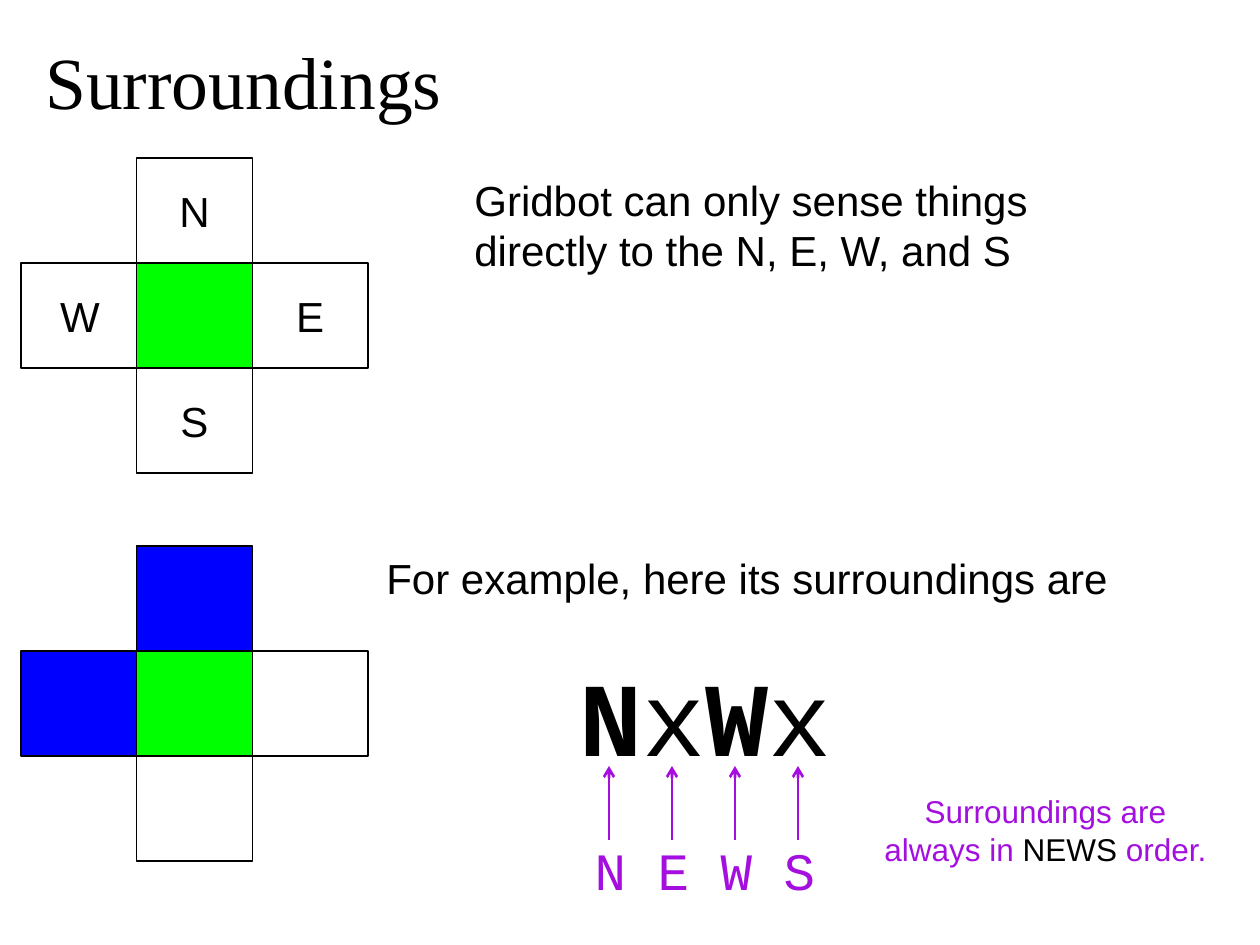
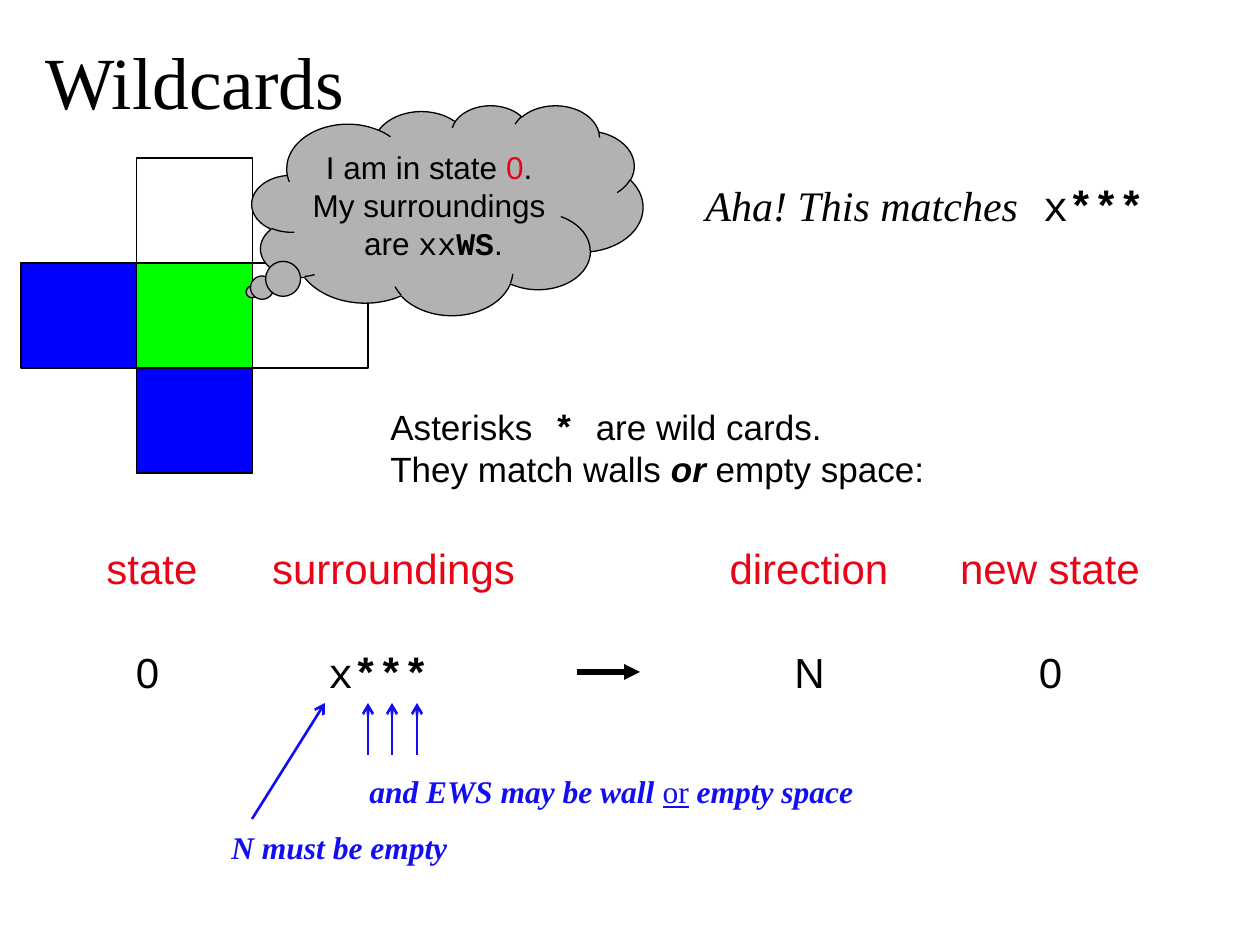
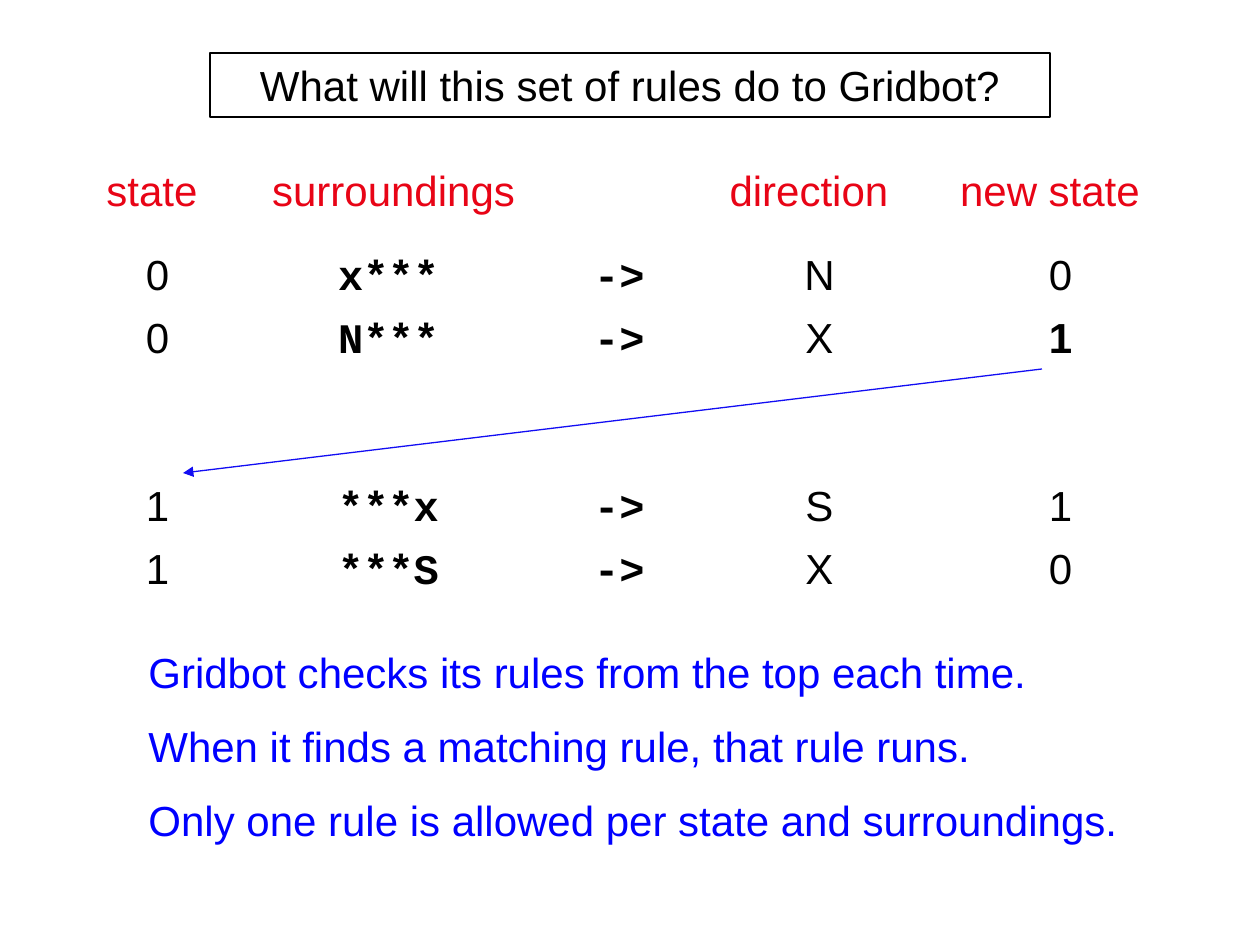
import lxml.etree
import pptx
import pptx.dml.color
import pptx.enum.shapes
import pptx.enum.text
import pptx.oxml.ns
import pptx.util

SCALE = 914400 / 126
SANS, MONO, SERIF = "Arial", "Courier New", "Times New Roman"
BLACK, RED, INK_BLUE, PURPLE = "000000", "E80416", "120DF3", "A40FE0"
BLUE, GREEN, GREY = "0000FF", "00FF00", "B2B2B2"
SHAPES = pptx.enum.shapes.MSO_SHAPE
ALIGN = pptx.enum.text.PP_ALIGN
HEADERS = [("state", 0, 190), ("surroundings", 174, 325),
           ("direction", 657, 190), ("new state", 867, 252)]
RULE_COLUMNS = [(0, 105, {}), (189, 189, {"font": MONO, "bold": True}),
                (420, 189, {"font": MONO, "bold": True}),
                (620, 189, {}), (861, 189, {})]


def px(value):
    return pptx.util.Emu(round(value * SCALE))


def rgb(value):
    return pptx.dml.color.RGBColor.from_string(value)


def write(shape, content, align=ALIGN.LEFT, wrap=True, spacing=1.0, **format):
    frame = shape.text_frame
    frame.word_wrap = wrap
    paragraphs = [content] if isinstance(content, str) else content
    for index, pieces in enumerate(paragraphs):
        paragraph = frame.add_paragraph() if index else frame.paragraphs[0]
        paragraph.alignment = align
        paragraph.line_spacing = spacing
        for piece in [pieces] if isinstance(pieces, str) else pieces:
            words, changes = (piece, {}) if isinstance(piece, str) else piece
            style = {"size": 24, "font": SANS, "color": BLACK, "bold": False,
                     "italic": False, "underline": False, **format, **changes}
            run = paragraph.add_run()
            run.text = words
            run.font.name = style["font"]
            run.font.size = pptx.util.Pt(style["size"])
            run.font.color.rgb = rgb(style["color"])
            run.font.bold = style["bold"]
            run.font.italic = style["italic"]
            run.font.underline = style["underline"]


def label(slide, box, content, **format):
    text_box = slide.shapes.add_textbox(*map(px, box))
    write(text_box, content, **format)
    text_box.text_frame.auto_size = pptx.enum.text.MSO_AUTO_SIZE.SHAPE_TO_FIT_TEXT


def outlined(slide, kind, box, fill=None):
    shape = slide.shapes.add_shape(kind, *map(px, box))
    shape.shadow.inherit = False
    if fill:
        shape.fill.solid()
        shape.fill.fore_color.rgb = rgb(fill)
    else:
        shape.fill.background()
    shape.line.color.rgb = rgb(BLACK)
    shape.line.width = pptx.util.Pt(0.75)
    return shape


def arrow(slide, start, end, color, width=1.5, head="arrow"):
    connector = slide.shapes.add_connector(
        pptx.enum.shapes.MSO_CONNECTOR.STRAIGHT, *map(px, start + end))
    connector.line.color.rgb = rgb(color)
    connector.line.width = pptx.util.Pt(width)
    qn = pptx.oxml.ns.qn
    properties = connector._element.spPr
    lxml.etree.SubElement(properties.find(qn("a:ln")), qn("a:tailEnd"), type=head)
    lxml.etree.SubElement(properties, qn("a:effectLst"))


def title(slide, words):
    label(slide, (33, 30, 503, 101), words, size=42, font=SERIF)


def surroundings_cross(slide, box, walls="", named=False):
    left, top, width, height = box
    cell_width, cell_height = width / 3, height / 3
    cells = {"N": (1, 0), "E": (2, 1), "W": (0, 1), "S": (1, 2), "robot": (1, 1)}
    for name, (column, row) in cells.items():
        x, y = left + column * cell_width, top + row * cell_height
        fill = GREEN if name == "robot" else BLUE if name in walls else None
        outlined(slide, SHAPES.RECTANGLE, (x, y, cell_width, cell_height), fill)
        if named and name != "robot":
            label(slide, (x + cell_width / 2 - 31, y + cell_height / 2 - 31, 62, 62),
                  name, align=ALIGN.CENTER, wrap=False)


def news_key(slide, box):
    left, top, width, height = box
    bold = {"bold": True}
    label(slide, (left, top, width, 139), [[("N", bold), "x", ("W", bold), "x"]],
          size=60, font=MONO, align=ALIGN.CENTER)
    for index in range(4):
        x = left + 46 + 63 * index
        arrow(slide, (x, top + 195), (x, top + 121), PURPLE)
    label(slide, (left, top + height - 76, width, 76), "N E W S",
          size=30, font=MONO, color=PURPLE, align=ALIGN.CENTER)


def rule_headers(slide, box):
    left, top, _, height = box
    for words, offset, width in HEADERS:
        label(slide, (left + offset, top, width, height), words,
              color=RED, align=ALIGN.CENTER)


def rule_row(slide, box, rule):
    left, top, _, height = box
    for content, (offset, width, style) in zip(rule, RULE_COLUMNS):
        if content:
            label(slide, (left + offset, top, width, height), content,
                  **{"align": ALIGN.CENTER, **style})


def thought_cloud(slide, box):
    cloud = outlined(slide, SHAPES.CLOUD_CALLOUT, box, GREY)
    cloud.adjustments[0] = -0.5
    cloud.adjustments[1] = 0.39
    write(cloud, [["I am in state ", ("0", {"color": RED}), ". "],
                  "My surroundings ",
                  ["are ", ("xx", {"font": MONO}),
                   ("WS", {"font": MONO, "bold": True}), "."]],
          size=18, align=ALIGN.CENTER, wrap=False)


def wildcard_notes(slide, box):
    left, top, _, _ = box
    for x in (149, 173, 198):
        arrow(slide, (left + x, top + 52), (left + x, top), INK_BLUE)
    arrow(slide, (left + 33, top + 116), (left + 106, top), INK_BLUE)
    style = {"size": 18, "font": SERIF, "color": INK_BLUE, "bold": True, "italic": True}
    plain = {"bold": False, "italic": False, "underline": True}
    label(slide, (left + 138, top + 63, 746, 50),
          [["and EWS may be wall ", ("or", plain), " empty space"]], **style)
    label(slide, (left, top + 119, 242, 50), "N must be empty", wrap=False, **style)


def surroundings_slide(slide):
    title(slide, "Surroundings")
    surroundings_cross(slide, (21, 158, 347, 315), named=True)
    surroundings_cross(slide, (21, 546, 347, 315), walls="NW")
    label(slide, (462, 168, 588, 113),
          "Gridbot can only sense things directly to the N, E, W, and S")
    label(slide, (374, 546, 809, 63), "For example, here its surroundings are")
    news_key(slide, (563, 645, 284, 263))
    label(slide, (868, 786, 355, 88),
          [["Surroundings are always in ", ("NEWS", {"color": BLACK}), " order."]],
          size=18, color=PURPLE, align=ALIGN.CENTER)


def wildcards_slide(slide):
    title(slide, "Wildcards")
    surroundings_cross(slide, (21, 158, 347, 315), walls="WS")
    label(slide, (378, 399, 620, 97),
          [["Asterisks", (" * ", {"font": MONO, "bold": True}), "are wild cards."],
           ["They match walls ", ("or", {"bold": True, "italic": True}),
            " empty space:"]], size=20)
    rule_headers(slide, (57, 536, 1119, 63))
    rule_row(slide, (95, 640, 1050, 63),
             ("0", [[("x", {"bold": False}), "***"]], None, "N", "0"))
    arrow(slide, (577, 672), (640, 672), BLACK, width=3, head="triangle")
    wildcard_notes(slide, (219, 703, 884, 169))
    thought_cloud(slide, (252, 105, 391, 210))
    mono = {"font": MONO, "italic": False}
    label(slide, (693, 179, 546, 58),
          [["Aha! This matches", (" x", mono), ("***", {**mono, "bold": True})]],
          font=SERIF, italic=True, spacing=0.9)


def rules_slide(slide):
    question = outlined(slide, SHAPES.RECTANGLE, (210, 53, 840, 64))
    write(question, "What will this set of rules do to Gridbot?", align=ALIGN.CENTER)
    rule_headers(slide, (57, 158, 1119, 63))
    rules = [(242, ("0", "x***", "->", "N", "0")),
             (305, ("0", "N***", "->", "X", [[("1", {"bold": True})]])),
             (473, ("1", "***x", "->", "S", "1")),
             (536, ("1", "***S", "->", "X", "0"))]
    for top, rule in rules:
        rule_row(slide, (105, top, 1050, 63), rule)
    arrow(slide, (1042, 369), (183, 473), INK_BLUE, width=0.75, head="triangle")
    notes = ["Gridbot checks its rules from the top each time.",
             "When it finds a matching rule, that rule runs.",
             "Only one rule is allowed per state and surroundings."]
    for index, note in enumerate(notes):
        label(slide, (136, 640 + 74 * index, 1041, 63), note, color=BLUE)


def main():
    deck = pptx.Presentation()
    deck.slide_width, deck.slide_height = px(1260), px(945)
    for build in (surroundings_slide, wildcards_slide, rules_slide):
        build(deck.slides.add_slide(deck.slide_layouts[6]))
    deck.save("out.pptx")


if __name__ == "__main__":
    main()
